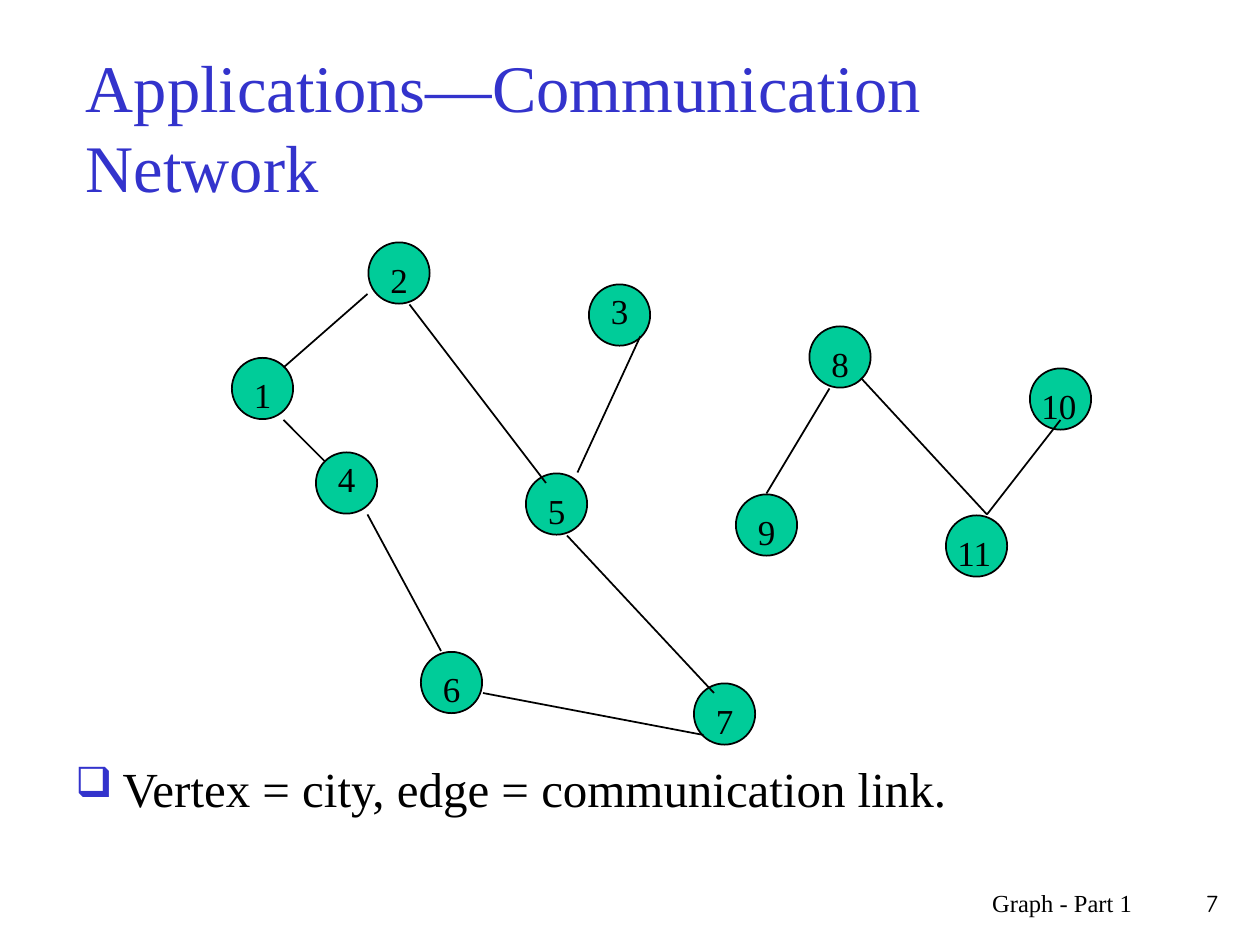
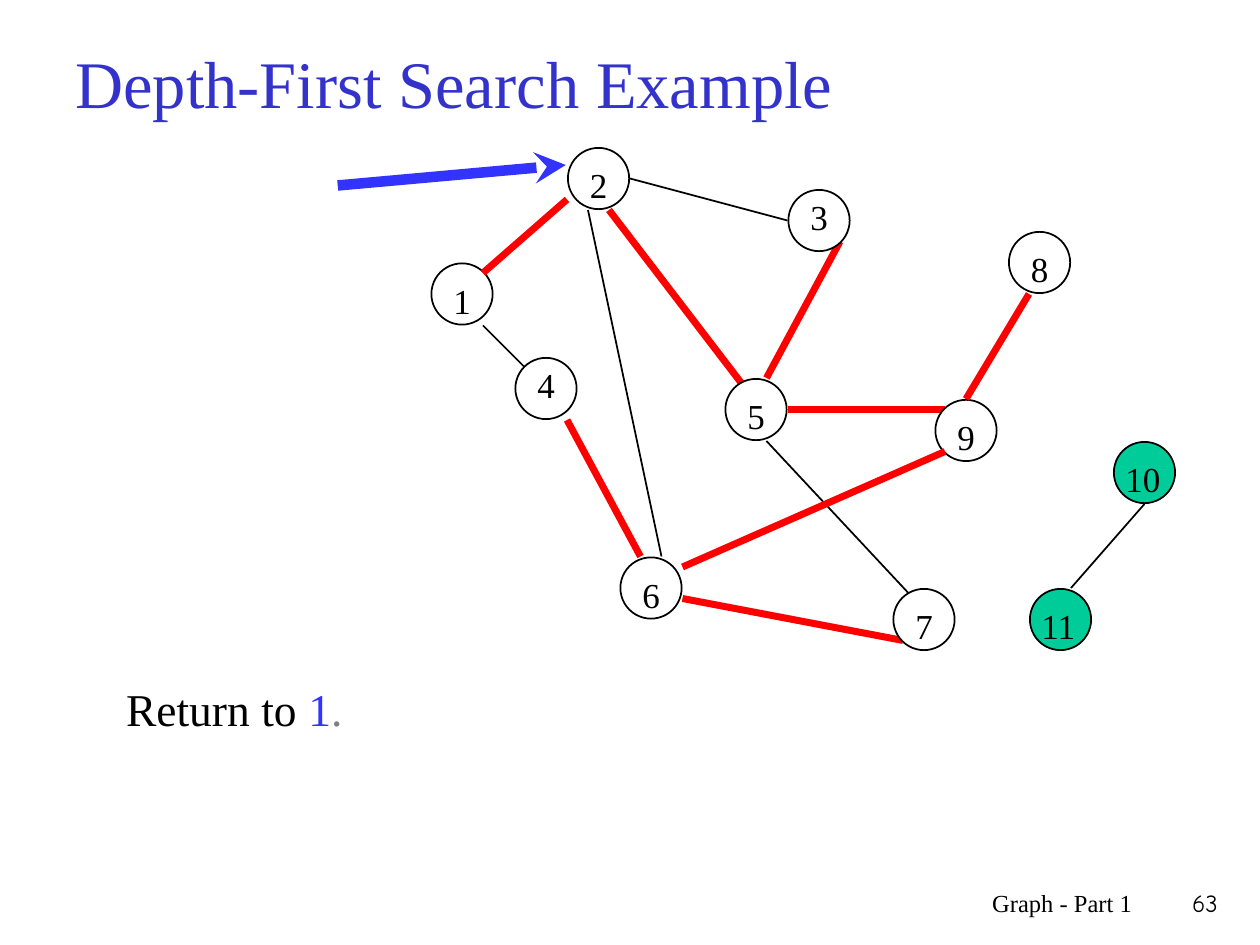
from lxml.etree import SubElement
from pptx import Presentation
from pptx.dml.color import RGBColor
from pptx.enum.shapes import MSO_CONNECTOR, MSO_SHAPE
from pptx.enum.text import MSO_ANCHOR, PP_ALIGN
from pptx.oxml.ns import qn
from pptx.util import Pt

COLORS = {"title": "3333CC", "text": "000000", "line": "000000", "city": "00CC99",
          "visited": "FFFFFF", "tree": "FF0000", "pointer": "3333FF", "muted": "808080"}
SERIF = "Times New Roman"
TITLE = {"size": Pt(38), "name": SERIF}
BODY = {"size": Pt(28), "name": SERIF}
STATUS = {"size": Pt(26), "name": SERIF}
LABEL = {"size": Pt(20), "name": SERIF}
FOOTER = {"size": Pt(14), "name": SERIF}
PAGE_NUMBER = {"size": Pt(14), "name": "Comic Neue"}

CELL = 36  # each vertex sits in a square cell
RAISED_LABELS = {3, 4}

# Cell corners and edge ends (x1, y1, x2, y2), relative to the graph's box
NODES = {1: (0, 66), 2: (78, 0), 3: (204, 24), 4: (48, 120), 5: (168, 132), 6: (108, 234),
         7: (264, 252), 8: (330, 48), 9: (288, 144), 10: (456, 72), 11: (408, 156)}
EDGES = {(1, 2): (78, 30, 30, 72), (2, 5): (102, 36, 180, 138), (1, 4): (30, 102, 54, 126),
         (4, 6): (78, 156, 120, 234), (6, 7): (144, 258, 270, 282),
         (3, 5): (234, 54, 198, 132), (5, 7): (192, 168, 276, 258),
         (8, 9): (342, 84, 306, 144), (8, 11): (360, 78, 432, 156),
         (10, 11): (432, 156, 474, 102)}

# The search example moves vertices 10 and 11 and swaps some edges
SEARCH_NODES = NODES | {10: (390, 168), 11: (342, 252)}
SEARCH_EDGES = EDGES | {(3, 5): (234, 54, 192, 132), (10, 11): (366, 252, 408, 204),
                        (5, 9): (204, 150, 294, 150), (2, 3): (114, 18, 204, 42),
                        (2, 6): (90, 36, 132, 234), (6, 9): (144, 240, 294, 174)}
del SEARCH_EDGES[8, 11]
VISITS = [((1, 2), 2), ((2, 5), 5), ((5, 9), 9), ((8, 9), 8),
          ((6, 9), 6), ((4, 6), 4), ((6, 7), 7), ((3, 5), 3)]


def rgb(name):
    return RGBColor.from_string(COLORS[name])


def add_text(s, box, runs, fmt, align=PP_ALIGN.LEFT, anchor=MSO_ANCHOR.TOP):
    """Add one paragraph made of (text, colour name) runs and return it."""
    tf = s.shapes.add_textbox(*map(Pt, box)).text_frame
    tf.word_wrap = True
    tf.vertical_anchor = anchor
    p = tf.paragraphs[0]
    p.alignment = align
    for text, color in runs:
        r = p.add_run()
        r.text = text
        for key, value in fmt.items():
            setattr(r.font, key, value)
        r.font.color.rgb = rgb(color)
    return p


def add_bullet(p, char, color, percent, indent):
    pPr = p._p.get_or_add_pPr()
    pPr.set("marL", str(Pt(indent)))
    pPr.set("indent", str(-Pt(indent)))
    SubElement(SubElement(pPr, qn("a:buClr")), qn("a:srgbClr"), val=COLORS[color])
    SubElement(pPr, qn("a:buSzPct"), val=str(percent * 1000))
    SubElement(pPr, qn("a:buChar"), char=char)


def add_line(s, origin, ends, color="line", width=1, arrow=None):
    x, y = origin
    x1, y1, x2, y2 = ends
    cxn = s.shapes.add_connector(MSO_CONNECTOR.STRAIGHT, Pt(x + x1), Pt(y + y1),
                                 Pt(x + x2), Pt(y + y2))
    cxn.line.color.rgb = rgb(color)
    cxn.line.width = Pt(width)
    if arrow:
        SubElement(cxn.line._get_or_add_ln(), qn("a:tailEnd"), type=arrow)
    SubElement(cxn._element.spPr, qn("a:effectLst"))


def add_circle(s, origin, cell, color):
    x, y = (o + c + 0.5 for o, c in zip(origin, cell))
    sp = s.shapes.add_shape(MSO_SHAPE.OVAL, Pt(x), Pt(y), Pt(CELL - 1), Pt(CELL - 1))
    sp.shadow.inherit = False
    sp.fill.solid()
    sp.fill.fore_color.rgb = rgb(color)
    sp.line.color.rgb = rgb("line")
    sp.line.width = Pt(1)


def add_label(s, origin, cell, number):
    dx = 6 if number < 10 else 0
    dy = 0 if number in RAISED_LABELS else 6
    box = (origin[0] + cell[0] + dx, origin[1] + cell[1] + dy, CELL - 3 * dx, 31)
    add_text(s, box, [(str(number), "text")], LABEL)


def add_vertex(s, origin, cell, number, color):
    add_circle(s, origin, cell, color)
    add_label(s, origin, cell, number)


def network(s, origin):
    for cell in NODES.values():
        add_circle(s, origin, cell, "city")
    for ends in EDGES.values():
        add_line(s, origin, ends)
    for number, cell in NODES.items():
        add_label(s, origin, cell, number)


def search_tree(s, origin):
    """Draw the graph with the tree edges and visited vertices in search order."""
    for number in (10, 11):
        add_vertex(s, origin, SEARCH_NODES[number], number, "city")
    tree = [edge for edge, _ in VISITS]
    for edge, ends in SEARCH_EDGES.items():
        if edge not in tree:
            add_line(s, origin, ends)
    add_vertex(s, origin, SEARCH_NODES[1], 1, "visited")
    for edge, number in VISITS:
        add_line(s, origin, SEARCH_EDGES[edge], "tree", 4)
        add_vertex(s, origin, SEARCH_NODES[number], number, "visited")
    add_line(s, origin, (-53, 22, 77.3, 10.3), "pointer", 6, "stealth")


def new_slide(prs, title, title_box, page):
    s = prs.slides.add_slide(prs.slide_layouts[6])
    add_text(s, title_box, [(title, "title")], TITLE, anchor=MSO_ANCHOR.MIDDLE)
    add_text(s, (426, 504, 228, 36), [("Graph - Part 1", "text")], FOOTER, PP_ALIGN.RIGHT)
    add_text(s, (654, 504, 49, 36), [(str(page), "text")], PAGE_NUMBER, PP_ALIGN.RIGHT)
    return s


def network_slide(prs):
    s = new_slide(prs, "Applications—Communication Network", (42, 18, 612, 108), 7)
    network(s, (132, 138))
    p = add_text(s, (36, 430, 648, 52),
                 [("Vertex = city, edge = communication link.", "text")], BODY)
    add_bullet(p, "❑", "title", 85, 27)


def search_slide(prs):
    s = new_slide(prs, "Depth-First Search Example", (36, 21.6, 648, 50), 63)
    search_tree(s, (246, 84))
    p = add_text(s, (65, 389, 624, 30),
                 [("Return to ", "text"), ("1", "pointer"), (".", "muted")], STATUS)
    p.line_spacing = 0.9


def main():
    prs = Presentation()
    prs.slide_width, prs.slide_height = Pt(720), Pt(540)
    network_slide(prs)
    search_slide(prs)
    prs.save("out.pptx")


if __name__ == "__main__":
    main()
